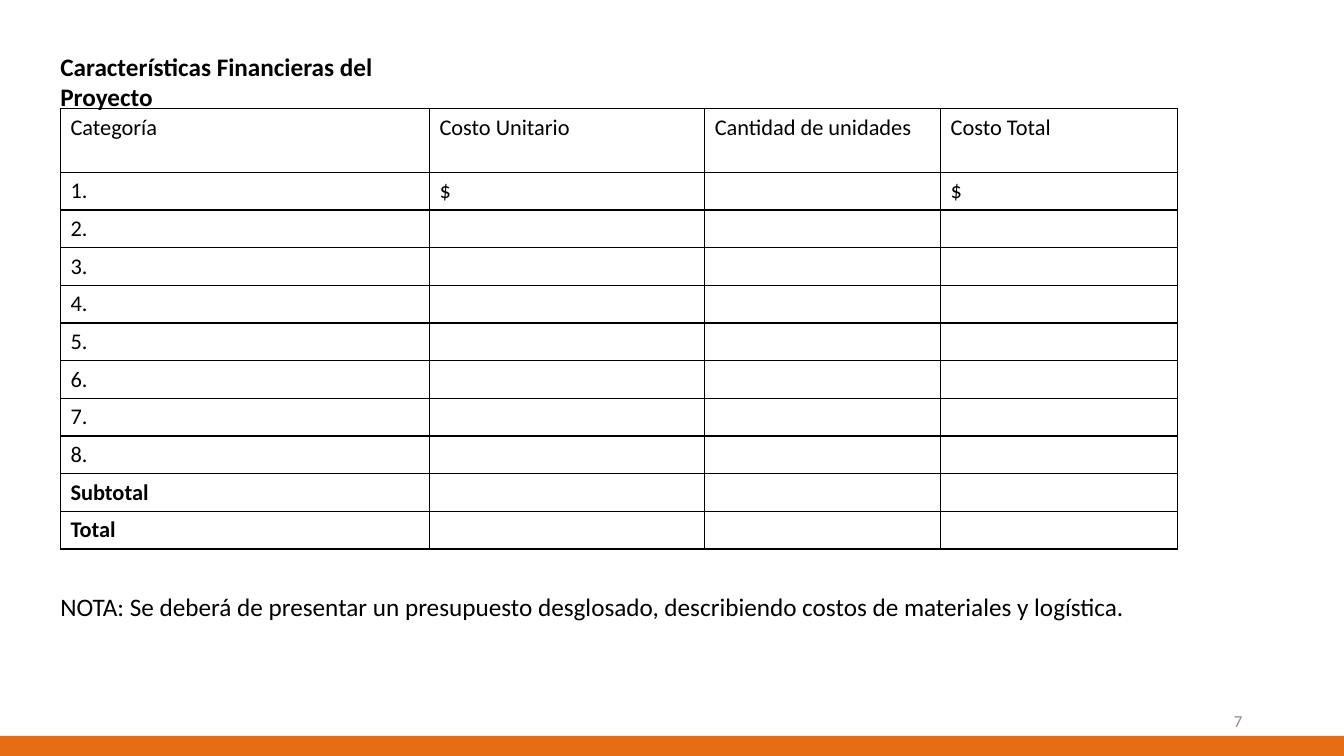
from lxml import etree
from pptx import Presentation
from pptx.dml.color import RGBColor
from pptx.enum import shapes, text
from pptx.oxml.ns import qn
from pptx.util import Inches, Pt

COLORS = {"ink": "000000", "orange": "E56D13", "gray": "8C8C8C"}
FONT = "Calibri"
CELL_SIZE = 16


def style_text(paragraph, size, color="ink", bold=False):
    for run in paragraph.runs:
        run.font.name = FONT
        run.font.size = Pt(size)
        run.font.bold = bold
        run.font.color.rgb = RGBColor.from_string(COLORS[color])


def add_text(left, top, width, content, size, color="ink", bold=False):
    box = slide.shapes.add_textbox(Inches(left), Inches(top), Inches(width), Inches(0.4))
    box.text_frame.word_wrap = True
    box.text_frame.text = content
    style_text(box.text_frame.paragraphs[0], size, color, bold)
    return box.text_frame


presentation = Presentation()
presentation.slide_width = Inches(13.33)
presentation.slide_height = Inches(7.5)
slide = presentation.slides.add_slide(presentation.slide_layouts[6])

# Budget table
headers = ["Categoría", "Costo Unitario", "Cantidad de unidades", "Costo Total"]
items = [[f"{number}.", "", "", ""] for number in range(1, 9)]
items[0] = ["1.", "$", "", "$"]
totals = [["Subtotal", "", "", ""], ["Total", "", "", ""]]
rows = [headers] + items + totals
column_widths = [3.66, 2.73, 2.34, 2.35]
header_height, body_height = 0.63, 3.74

frame = slide.shapes.add_table(
    len(rows), len(headers), Inches(0.6), Inches(1.08),
    Inches(sum(column_widths)), Inches(header_height + body_height))
table = frame.table
table.first_row = False
table.horz_banding = False
for column, width in zip(table.columns, column_widths):
    column.width = Inches(width)
for row in table.rows:
    row.height = Inches(body_height / (len(rows) - 1))
table.rows[0].height = Inches(header_height)

for row_index, values in enumerate(rows):
    for column_index, value in enumerate(values):
        cell = table.cell(row_index, column_index)
        cell.text = value
        paragraph = cell.text_frame.paragraphs[0]
        style_text(paragraph, CELL_SIZE, bold=values in totals)
        if not value:
            etree.SubElement(paragraph._p, qn("a:endParaRPr"), sz=str(CELL_SIZE * 100))
        properties = cell._tc.get_or_add_tcPr()
        for side in ("lnL", "lnR", "lnT", "lnB"):
            border = etree.SubElement(properties, qn(f"a:{side}"), w=str(Pt(1)))
            fill = etree.SubElement(border, qn("a:solidFill"))
            etree.SubElement(fill, qn("a:srgbClr"), val=COLORS["ink"])
        cell.fill.background()

# Note and title
add_text(0.5, 5.82, 10.98,
         "NOTA: Se deberá de presentar un presupuesto desglosado, "
         "describiendo costos de materiales y logística.", 18)
add_text(0.5, 0.46, 4.11, "Características Financieras del Proyecto", 18, bold=True)

# Footer bar and slide number
bar = slide.shapes.add_shape(
    shapes.MSO_SHAPE.RECTANGLE, Inches(-0.01), Inches(7.3), Inches(13.34), Inches(0.24))
bar.shadow.inherit = False
bar.fill.solid()
bar.fill.fore_color.rgb = RGBColor.from_string(COLORS["orange"])
bar.line.fill.background()

page_number = add_text(9.42, 6.95, 3, "7", 12, "gray")
page_number.vertical_anchor = text.MSO_ANCHOR.MIDDLE
page_number.paragraphs[0].alignment = text.PP_ALIGN.RIGHT

presentation.save("out.pptx")
